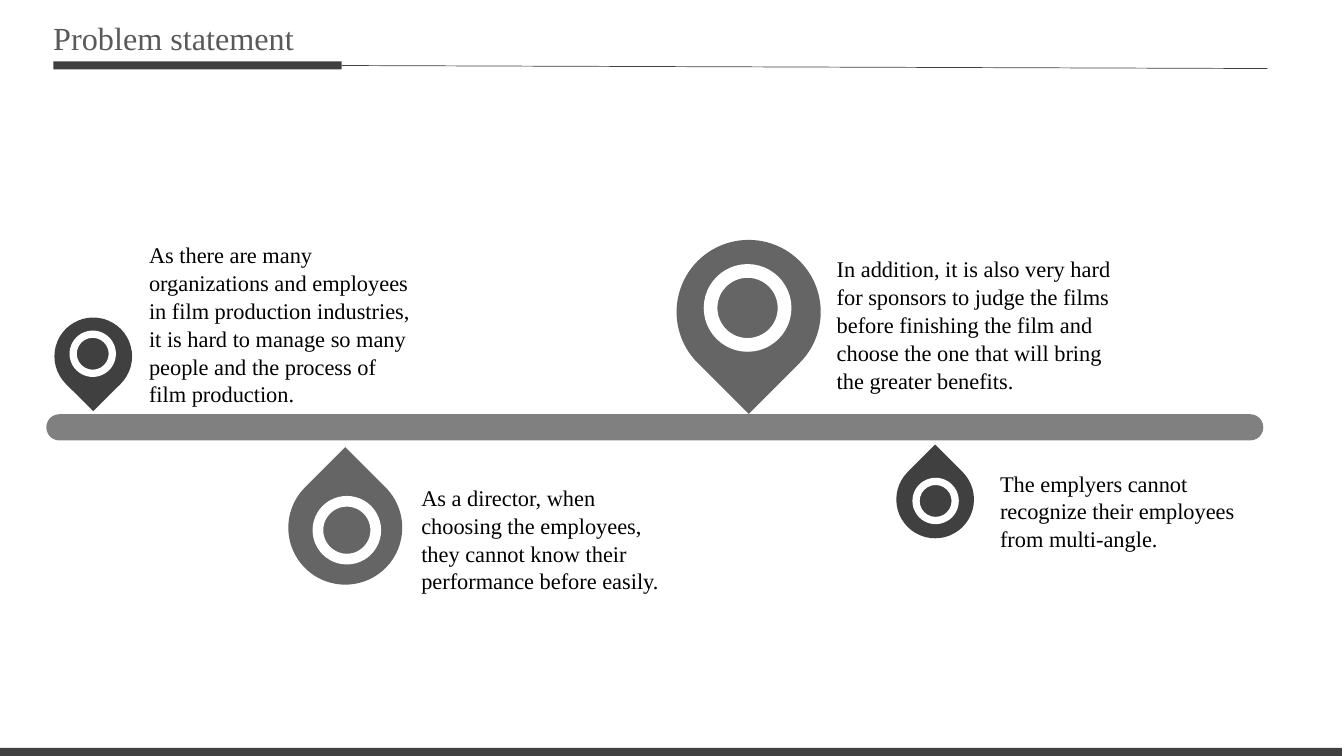
from lxml import etree
from pptx import Presentation
from pptx.dml.color import RGBColor
from pptx.enum.shapes import MSO_CONNECTOR, MSO_SHAPE
from pptx.enum.text import MSO_ANCHOR, PP_ALIGN
from pptx.oxml.ns import qn
from pptx.util import Pt

PX = 9144  # EMU per px, 100 px to the inch
RECTANGLE, ROUNDED = MSO_SHAPE.RECTANGLE, MSO_SHAPE.ROUNDED_RECTANGLE
TEARDROP, DONUT = MSO_SHAPE.TEAR, MSO_SHAPE.DONUT
STRAIGHT = MSO_CONNECTOR.STRAIGHT
TOP, MIDDLE = MSO_ANCHOR.TOP, MSO_ANCHOR.MIDDLE
LEFT, JUSTIFY = PP_ALIGN.LEFT, PP_ALIGN.JUSTIFY
RIGHT_SIDE = 3

THEME = {
    "dark": RGBColor(0x40, 0x40, 0x40),
    "medium": RGBColor(0x65, 0x65, 0x65),
    "timeline": RGBColor(0x80, 0x80, 0x80),
    "ring": RGBColor(0xFF, 0xFF, 0xFF),
    "title": RGBColor(0x59, 0x59, 0x59),
    "body": RGBColor(0x00, 0x00, 0x00),
    "font": "Times New Roman",
    "title_size": 23,
    "body_size": 16,
}

prs = Presentation()
prs.slide_width, prs.slide_height = 1333 * PX, 750 * PX
slide = prs.slides.add_slide(prs.slide_layouts[6])


def add_filled(parent, kind, box, color, adjust=None, rotation=0):
    """Add a borderless preset shape to the slide or to a group."""
    shape = parent.shapes.add_shape(kind, *(length * PX for length in box))
    shape.shadow.inherit = False
    shape.fill.solid()
    shape.fill.fore_color.rgb = THEME[color]
    shape.line.fill.background()
    shape.rotation = rotation
    if adjust is not None:
        shape.adjustments[0] = adjust
    return shape


def add_text(text, box, role="body", align=LEFT, anchor=TOP, spacing=1.04):
    frame = slide.shapes.add_textbox(*(length * PX for length in box)).text_frame
    frame.word_wrap = True
    frame.vertical_anchor = anchor
    paragraph = frame.paragraphs[0]
    paragraph.text = text
    paragraph.alignment = align
    paragraph.line_spacing = spacing
    paragraph.font.name = THEME["font"]
    paragraph.font.size = Pt(THEME[f"{role}_size"])
    paragraph.font.color.rgb = THEME[role]


# Title with its underline
title_bar = add_filled(slide, RECTANGLE, (53, 61, 286, 8), "dark")
title_rule = slide.shapes.add_connector(STRAIGHT, 339 * PX, 65 * PX, 1257 * PX, 68 * PX)
title_rule.begin_connect(title_bar, RIGHT_SIDE)
title_rule.line.color.rgb = THEME["dark"]
title_rule.line.width = Pt(0.5)
etree.SubElement(title_rule._element.spPr, qn("a:effectLst"))
add_text("Problem statement", (43, 11, 304, 52), "title", JUSTIFY, MIDDLE, 1.0)

# Footer and timeline
add_filled(slide, RECTANGLE, (-2, 742, 1333, 8), "dark")
add_filled(slide, ROUNDED, (46, 411, 1207, 26), "timeline", adjust=0.494)

# Pins: left, top, size, ring left, ring top, ring size, colour, rotation, text, text box
POINT_DOWN, POINT_UP = 135, 315
problems = [
    (54, 315, 77, 69, 328, 46, "dark", POINT_DOWN,
     "As there are many organizations and employees in film production industries, "
     "it is hard to manage so many people and the process of film production.",
     (138, 233, 285, 172)),
    (671, 238, 143, 698, 262, 87, "medium", POINT_DOWN,
     "In addition, it is also very hard for sponsors to judge the films before "
     "finishing the film and choose the one that will bring the greater benefits.",
     (820, 247, 305, 145)),
    (286, 467, 113, 310, 492, 68, "medium", POINT_UP,
     "As a director, when choosing the employees, they cannot know their "
     "performance before easily.",
     (408, 474, 262, 153)),
    (889, 457, 77, 905, 474, 46, "dark", POINT_UP,
     "The emplyers cannot recognize their employees from multi-angle.",
     (982, 460, 265, 126)),
]
for left, top, size, ring_left, ring_top, ring_size, color, rotation, text, box in problems:
    pin = slide.shapes.add_group_shape()
    add_filled(pin, TEARDROP, (left, top, size, size), color, rotation=rotation)
    add_filled(pin, DONUT, (ring_left, ring_top, ring_size, ring_size), "ring", adjust=0.156)
    add_text(text, box)

prs.save("out.pptx")
